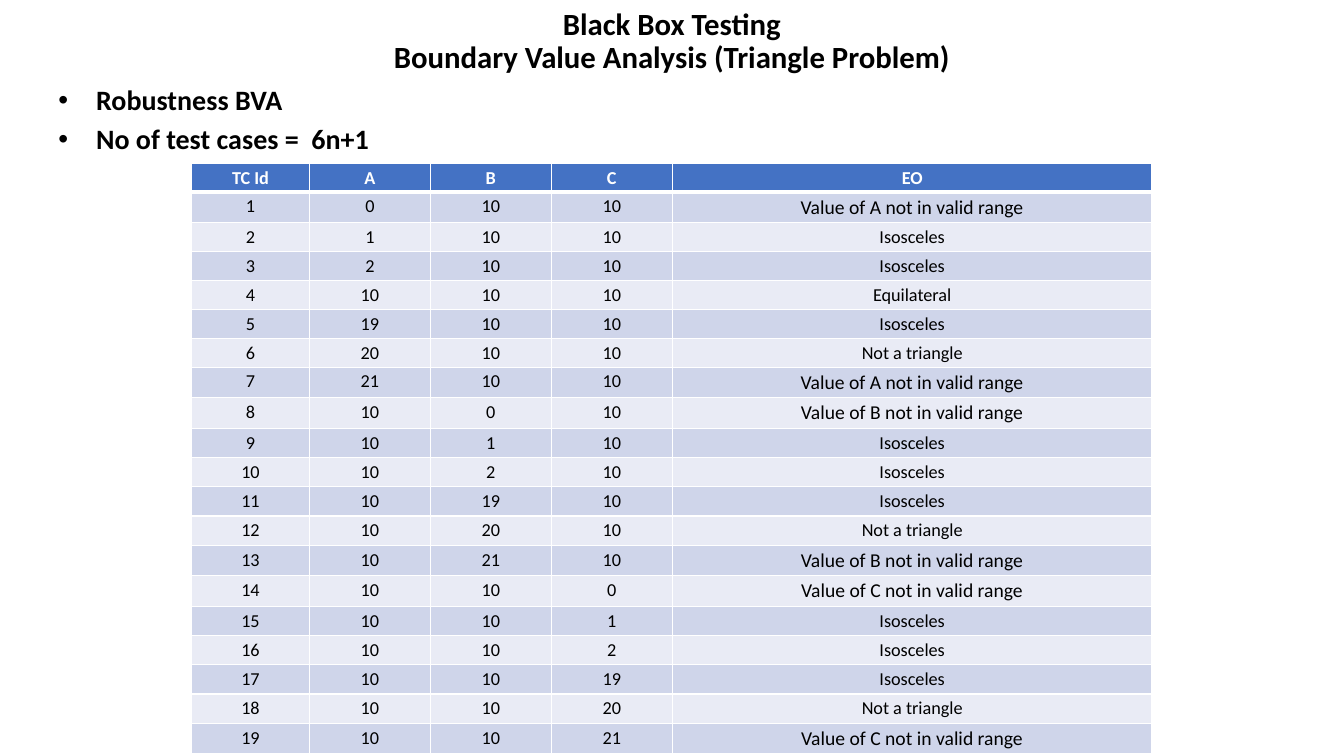
from lxml.etree import SubElement
from pptx import Presentation
from pptx.dml.color import RGBColor
from pptx.enum.text import MSO_ANCHOR as Anchor, PP_ALIGN as Align
from pptx.oxml.ns import qn
from pptx.util import Pt

TITLE = "Black Box Testing\vBoundary Value Analysis (Triangle Problem)"
POINTS = ["Robustness BVA", "No of test cases =  6n+1"]
HEADINGS = ("TC Id", "A", "B", "C", "EO")
CASES = [
    (0, 10, 10, "Value of A not in valid range"),
    (1, 10, 10, "Isosceles"),
    (2, 10, 10, "Isosceles"),
    (10, 10, 10, "Equilateral"),
    (19, 10, 10, "Isosceles"),
    (20, 10, 10, "Not a triangle"),
    (21, 10, 10, "Value of A not in valid range"),
    (10, 0, 10, "Value of B not in valid range"),
    (10, 1, 10, "Isosceles"),
    (10, 2, 10, "Isosceles"),
    (10, 19, 10, "Isosceles"),
    (10, 20, 10, "Not a triangle"),
    (10, 21, 10, "Value of B not in valid range"),
    (10, 10, 0, "Value of C not in valid range"),
    (10, 10, 1, "Isosceles"),
    (10, 10, 2, "Isosceles"),
    (10, 10, 19, "Isosceles"),
    (10, 10, 20, "Not a triangle"),
    (10, 10, 21, "Value of C not in valid range"),
]

THEME = {
    "font": "Calibri",
    "ink": "000000", "paper": "FFFFFF", "header": "4472C4",
    "bands": ("E9EBF5", "CFD5EA"),
    "title": 22, "point": 20, "cell": 13, "range": 14,
}
COLUMN_WIDTHS = (84.2, 86.4, 86.4, 86.4, 342.7)
TIGHT_ROWS, TIGHT_HEIGHT, ROW_HEIGHT = 7, 18.8, 20.9
RULE, HEADER_RULE = 1, 3


def write(frame, lines, size, color=THEME["ink"], bold=False, align=Align.CENTER,
          spacing=None, after=None, bullet_indent=None):
    for index, line in enumerate(lines):
        paragraph = frame.paragraphs[0] if index == 0 else frame.add_paragraph()
        paragraph.text = line
        paragraph.alignment = align
        if spacing:
            paragraph.line_spacing = spacing
        if after:
            paragraph.space_after = Pt(after)
        if bullet_indent:
            properties = paragraph._p.get_or_add_pPr()
            properties.set("marL", str(Pt(bullet_indent)))
            properties.set("indent", str(-Pt(bullet_indent)))
            SubElement(properties, qn("a:buFont")).set("typeface", "Arial")
            SubElement(properties, qn("a:buChar")).set("char", "•")
        for run in paragraph.runs:
            run.font.name = THEME["font"]
            run.font.size = Pt(size)
            run.font.bold = bold
            run.font.color.rgb = RGBColor.from_string(color)


def text_box(slide, left, top, width, height):
    frame = slide.shapes.add_textbox(Pt(left), Pt(top), Pt(width), Pt(height)).text_frame
    frame.word_wrap = True
    frame.vertical_anchor = Anchor.MIDDLE
    return frame


def draw_borders(cell, **widths):
    properties = cell._tc.get_or_add_tcPr()
    for side in "LRTB":
        border = SubElement(properties, qn(f"a:ln{side}"), w=str(Pt(widths.get(side, RULE))))
        fill = SubElement(border, qn("a:solidFill"))
        SubElement(fill, qn("a:srgbClr"), val=THEME["paper"])


def add_cases(slide, left, top):
    rows = [HEADINGS] + [(number, *case) for number, case in enumerate(CASES, 1)]
    heights = [TIGHT_HEIGHT if i < TIGHT_ROWS else ROW_HEIGHT for i in range(len(rows))]
    table = slide.shapes.add_table(len(rows), len(HEADINGS), Pt(left), Pt(top),
                                   Pt(sum(COLUMN_WIDTHS)), Pt(sum(heights))).table
    for column, width in zip(table.columns, COLUMN_WIDTHS):
        column.width = Pt(width)
    for i, values in enumerate(rows):
        table.rows[i].height = Pt(heights[i])
        header = i == 0
        rules = {0: {"B": HEADER_RULE}, 1: {"T": HEADER_RULE}}.get(i, {})
        background = THEME["header"] if header else THEME["bands"][i % 2]
        for j, value in enumerate(values):
            cell = table.cell(i, j)
            cell.margin_left = cell.margin_right = Pt(5)
            cell.margin_top = cell.margin_bottom = Pt(2.5)
            draw_borders(cell, **rules)
            cell.fill.solid()
            cell.fill.fore_color.rgb = RGBColor.from_string(background)
            label = str(value)
            write(cell.text_frame, [label],
                  THEME["range"] if label.startswith("Value of") else THEME["cell"],
                  color=THEME["paper"] if header else THEME["ink"], bold=header)


def main():
    deck = Presentation()
    deck.slide_width, deck.slide_height = Pt(960), Pt(540)
    slide = deck.slides.add_slide(deck.slide_layouts[6])

    title = text_box(slide, 79.2, -0.7, 801.4, 87.8)
    title.margin_bottom = Pt(30)
    write(title, [TITLE], THEME["title"], bold=True, spacing=0.9)

    points = text_box(slide, 34.6, 56.2, 748, 60.5)
    write(points, POINTS, THEME["point"], bold=True, align=Align.LEFT,
          spacing=0.9, after=6, bullet_indent=27)

    add_cases(slide, 136.8, 116.6)
    deck.save("out.pptx")


if __name__ == "__main__":
    main()
